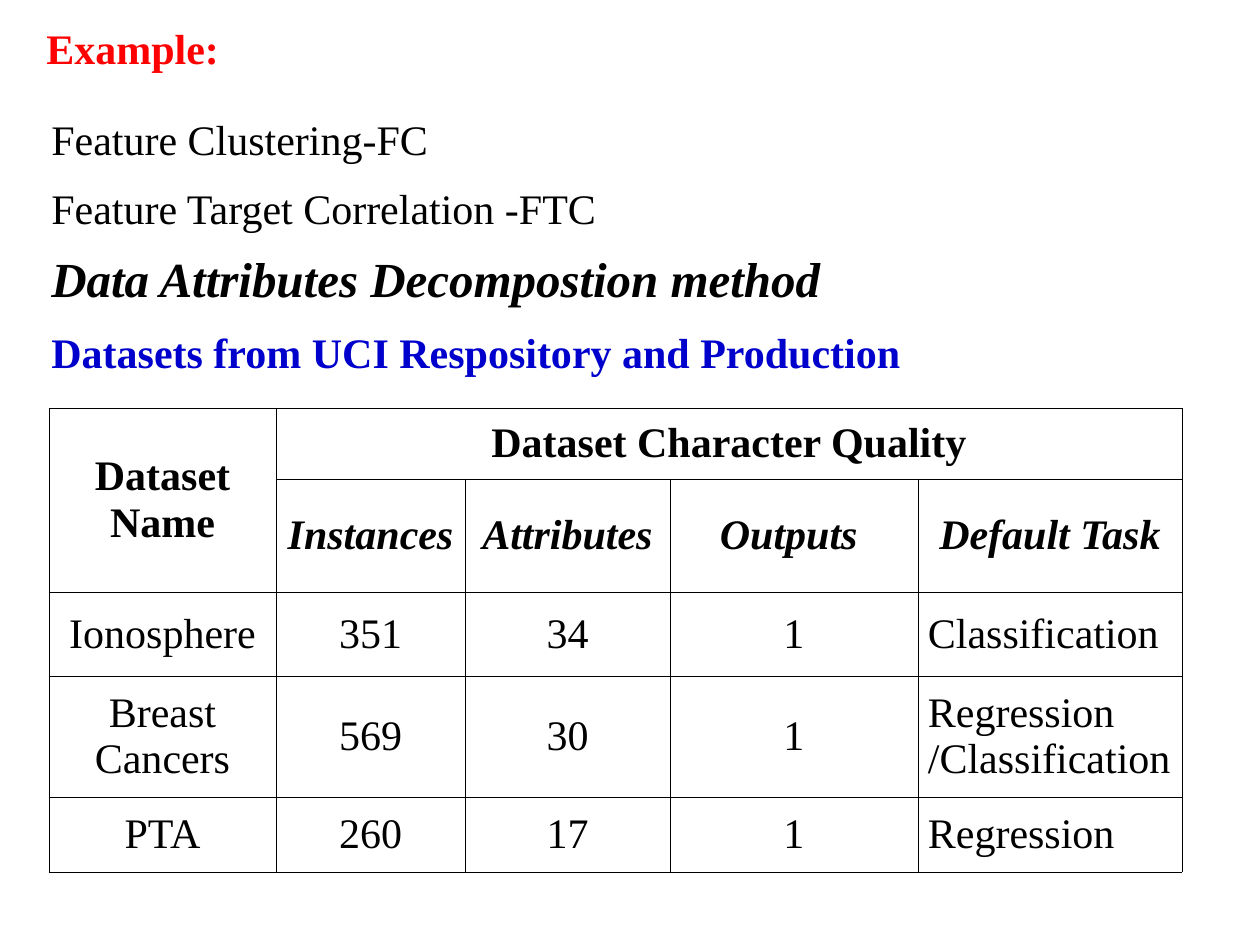
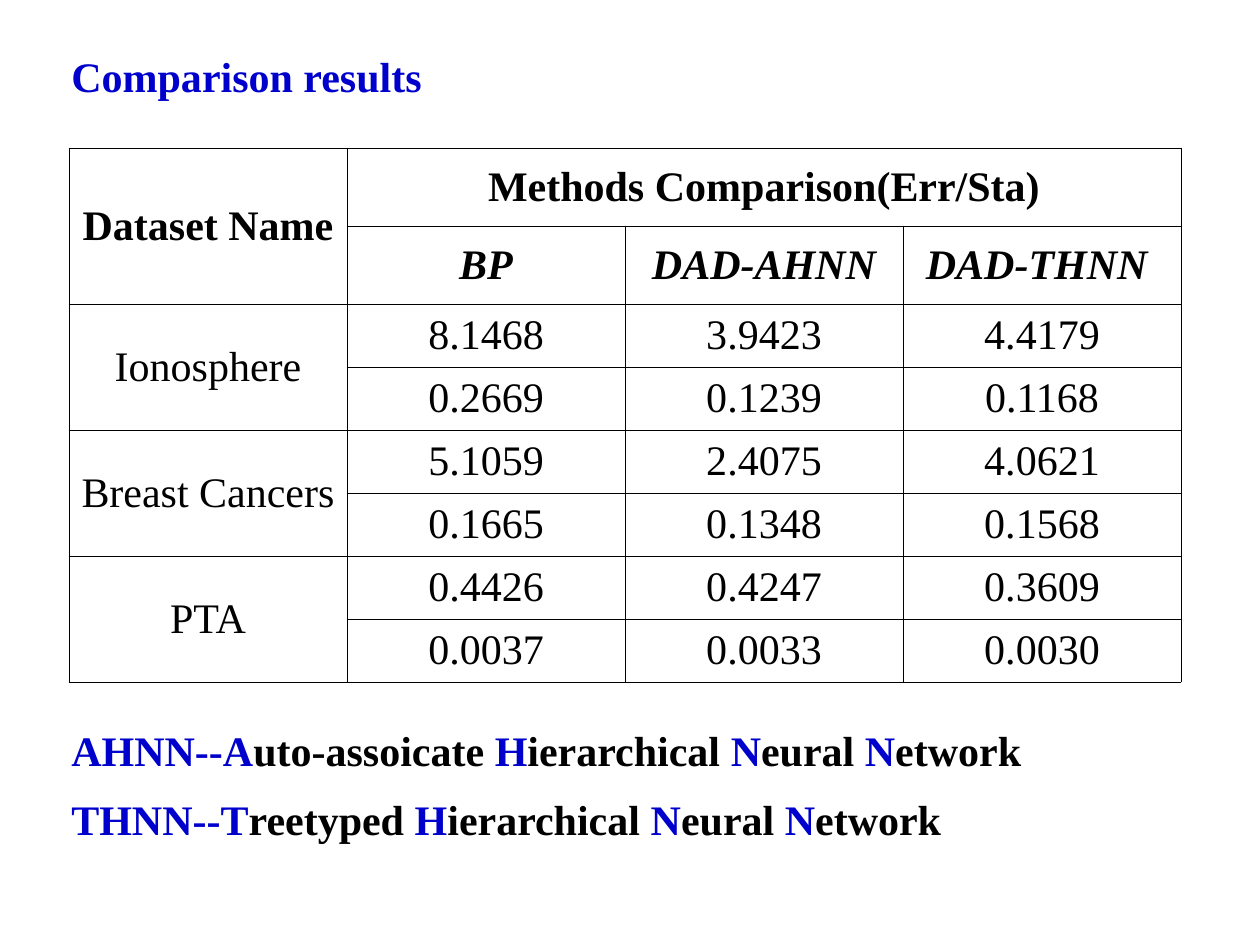
from lxml import etree
from pptx import Presentation
from pptx import util as u
from pptx.dml.color import RGBColor
from pptx.enum import text
from pptx.oxml import ns

BLACK = RGBColor(0x00, 0x00, 0x00)
BLUE = RGBColor(0x00, 0x00, 0xCC)
RED = RGBColor(0xFF, 0x00, 0x00)
FONT = "Times New Roman"
SCALE = 914400 / 126
LINE_H = 63
NETWORK = [("H", BLUE), ("ierarchical ", BLACK), ("N", BLUE),
           ("eural ", BLACK), ("N", BLUE), ("etwork", BLACK)]


def px(n):
    return u.Emu(round(n * SCALE))


class Deck:
    """Holds the shared style and the slide being filled."""

    def __init__(self, width, height):
        self.prs = Presentation()
        self.prs.slide_width, self.prs.slide_height = px(width), px(height)
        self.s = None

    def new_slide(self):
        self.s = self.prs.slides.add_slide(self.prs.slide_layouts[6])

    def run(self, p, words, color=BLACK, size=24, bold=False, italic=False):
        r = p.add_run()
        r.text = words
        f = r.font
        f.name, f.size, f.bold, f.italic = FONT, u.Pt(size), bold, italic
        f.color.rgb = color

    def line(self, x, y, w, runs, size=24, bold=True, italic=False):
        sp = self.s.shapes.add_textbox(px(x), px(y), px(w), px(LINE_H * size / 24))
        tf = sp.text_frame
        tf.word_wrap = True
        tf.auto_size = text.MSO_AUTO_SIZE.SHAPE_TO_FIT_TEXT
        p = tf.paragraphs[0]
        p.space_before = u.Pt(size * 0.625)
        for words, color in runs:
            self.run(p, words, color, size, bold, italic)

    def borders(self, cell):
        tc_pr = cell._tc.get_or_add_tcPr()
        for i, side in enumerate(("lnL", "lnR", "lnT", "lnB")):
            ln = etree.Element(ns.qn(f"a:{side}"), w=str(u.Pt(0.45)))
            fill = etree.SubElement(ln, ns.qn("a:solidFill"))
            etree.SubElement(fill, ns.qn("a:srgbClr"), val=str(BLACK))
            tc_pr.insert(i, ln)

    def cell(self, cell, words, align, bold, italic):
        cell.fill.background()
        self.borders(cell)
        cell.vertical_anchor = text.MSO_ANCHOR.MIDDLE
        cell.margin_left = cell.margin_right = px(10)
        cell.margin_top = cell.margin_bottom = px(6)
        if words is None:
            return
        tf = cell.text_frame
        for i, part in enumerate(words.split("\n")):
            p = tf.add_paragraph() if i else tf.paragraphs[0]
            p.alignment = align
            self.run(p, part, bold=bold, italic=italic)

    def table(self, x, y, widths, heights, rows, merges, justified_col=None):
        frame = self.s.shapes.add_table(len(heights), len(widths), px(x), px(y),
                                        px(sum(widths)), px(sum(heights)))
        tbl = frame.table
        tbl.first_row = tbl.horz_banding = False
        for col, w in zip(tbl.columns, widths):
            col.width = px(w)
        for row, h in zip(tbl.rows, heights):
            row.height = px(h)
        for i, row in enumerate(rows):
            for j, words in enumerate(row):
                justify = i > 1 and j == justified_col
                align = text.PP_ALIGN.JUSTIFY if justify else text.PP_ALIGN.CENTER
                self.cell(tbl.cell(i, j), words, align, i < 2, i == 1)
        for first, last in merges:
            tbl.cell(*first).merge(tbl.cell(*last))


def datasets_slide(deck):
    deck.new_slide()
    deck.line(39, 107, 561, [("Feature Clustering-FC", BLACK)], bold=False)
    deck.line(39, 176, 650, [("Feature Target Correlation -FTC", BLACK)], bold=False)
    deck.line(39, 242, 984, [("Data Attributes Decompostion method", BLACK)],
              size=28, italic=True)
    deck.table(49, 408, [227, 189, 205, 248, 264], [71, 113, 84, 121, 75], [
        ["Dataset Name", "Dataset Character Quality", None, None, None],
        [None, "Instances", "Attributes", "Outputs ", "Default Task"],
        ["Ionosphere", "351", "34", "1", "Classification"],
        ["Breast Cancers", "569", "30", "1", "Regression\n/Classification"],
        ["PTA", "260", "17", "1", "Regression"],
    ], [((0, 0), (1, 0)), ((0, 1), (0, 4))], justified_col=4)
    deck.line(39, 320, 1246, [("Datasets from UCI Respository and Production", BLUE)])
    deck.line(34, 16, 655, [("Example:", RED)])


def results_slide(deck):
    deck.new_slide()
    merges = [((i, 0), (i + 1, 0)) for i in range(0, 8, 2)]
    deck.table(69, 148, [278] * 4, [78] * 2 + [63] * 6, [
        ["Dataset Name", "Methods Comparison(Err/Sta)", None, None],
        [None, "BP", "DAD-AHNN", "DAD-THNN "],
        ["Ionosphere", "8.1468", "3.9423", "4.4179"],
        [None, "0.2669", "0.1239", "0.1168"],
        ["Breast Cancers", "5.1059", "2.4075", "4.0621"],
        [None, "0.1665", "0.1348", "0.1568"],
        ["PTA", "0.4426", "0.4247", "0.3609"],
        [None, "0.0037", "0.0033", "0.0030"],
    ], merges + [((0, 1), (0, 3))])
    deck.line(59, 718, 1033, [("AHNN--A", BLUE), ("uto-assoicate ", BLACK)] + NETWORK)
    deck.line(59, 787, 955, [("THNN--T", BLUE), ("reetyped ", BLACK)] + NETWORK)
    deck.line(59, 44, 640, [("Comparison results", BLUE)])


def main():
    deck = Deck(1260, 945)
    datasets_slide(deck)
    results_slide(deck)
    deck.prs.save("out.pptx")


if __name__ == "__main__":
    main()
